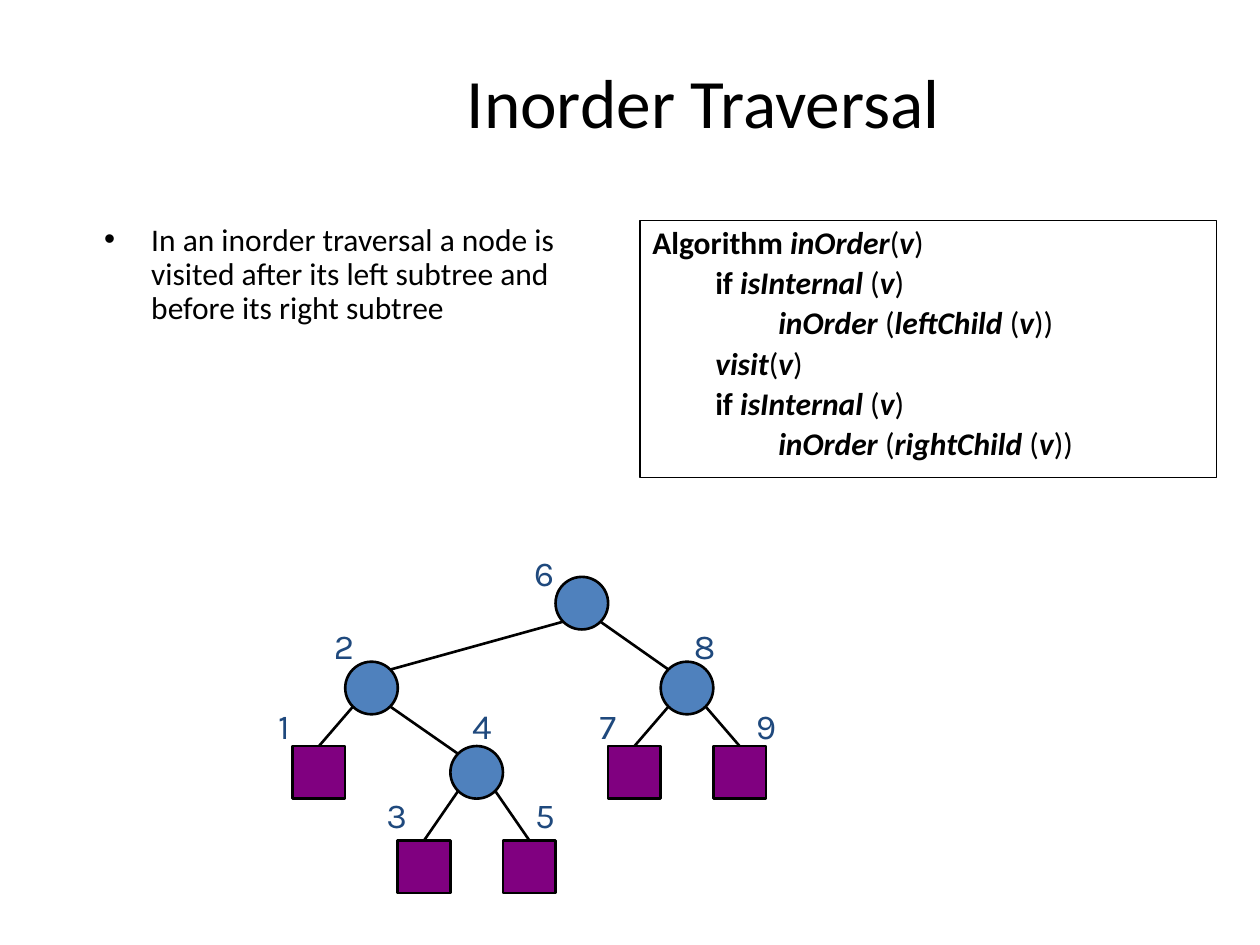
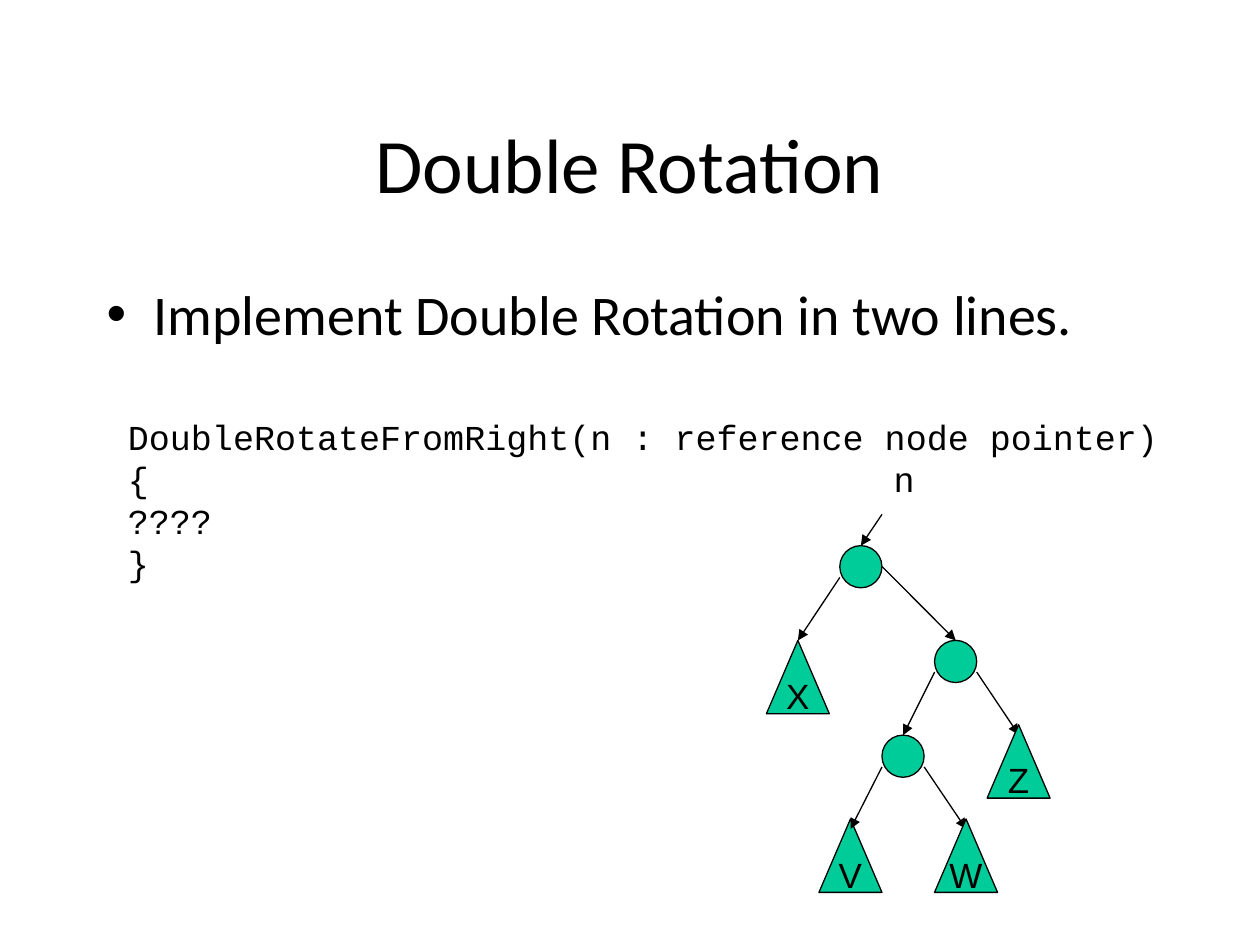
from lxml import etree
from pptx import Presentation
from pptx.dml.color import RGBColor
from pptx.enum.shapes import MSO_CONNECTOR, MSO_SHAPE
from pptx.enum.text import MSO_ANCHOR, PP_ALIGN
from pptx.oxml.ns import qn
from pptx.util import Cm, Pt

STRAIGHT = MSO_CONNECTOR.STRAIGHT
RECT, OVAL, TRIANGLE = MSO_SHAPE.RECTANGLE, MSO_SHAPE.OVAL, MSO_SHAPE.ISOSCELES_TRIANGLE
LEFT, CENTER = PP_ALIGN.LEFT, PP_ALIGN.CENTER
TOP, MIDDLE = MSO_ANCHOR.TOP, MSO_ANCHOR.MIDDLE

COLORS = {"ink": "000000", "inner": "4F81BD", "leaf": "800080",
          "number": "1F497D", "rotation": "00CC99"}
BODY, MONO, SANS, NUMBERS = "Calibri", "Courier New", "Arial", "Karla"

# ---- Content: inorder traversal ----
INORDER_TITLE = "Inorder Traversal"
INORDER_POINT = ("In an inorder traversal a node is visited after its left subtree "
                 "and before its right subtree")
# Runs are (text, style), where b is bold and i is italic
ARG = [("(", ""), ("v", "bi"), (")", "")]
IF_INTERNAL = [("if ", "b"), ("isInternal ", "bi")] + ARG


def recurse(child):
    return [("inOrder", "bi"), (" (", ""), (child + " ", "bi"),
            ("(", ""), ("v", "bi"), ("))", "")]


ALGORITHM = [  # (indent level, runs)
    (0, [("Algorithm ", "b"), ("inOrder", "bi")] + ARG),
    (1, IF_INTERNAL),
    (2, recurse("leftChild")),
    (1, [("visit", "bi")] + ARG),
    (1, IF_INTERNAL),
    (2, recurse("rightChild")),
]
# Visit number: (depth, left of the number in cm, children)
VISITS = {
    6: (0, 10.52, (2, 8)),
    8: (1, 13.74, (7, 9)),
    2: (1, 6.48, (1, 4)),
    4: (2, 9.27, (3, 5)),
    1: (2, 5.28, ()),
    3: (3, 7.54, ()),
    5: (3, 10.54, ()),
    7: (2, 11.81, ()),
    9: (2, 14.99, ()),
}
ROW_TOPS = [11.63, 13.34, 15.04, 16.94]
NUMBER_TOPS = [11.0, 12.47, 14.07, 15.88]
NODE, FIRST_CENTER, DIAGONAL = 1.06, 6.43, 0.37

# ---- Content: double rotation ----
ROTATION_TITLE = "Double Rotation"
ROTATION_POINT = "Implement Double Rotation in two lines."
ROTATION_CODE = ["DoubleRotateFromRight(n : reference node pointer) {", "????", "}"]
ROTATION_NODES = {  # name: (left, top)
    "root": (16.93, 11.0), "right": (18.84, 12.91), "inner": (17.78, 14.82),
    "X": (15.45, 12.91), "V": (16.51, 16.51), "W": (18.84, 16.51), "Z": (19.9, 14.61),
}
CIRCLE, TRIANGLE_W, TRIANGLE_H = 0.85, 1.27, 1.48
ROTATION_EDGES = [  # (parent, child, drop from parent top, dip below child top)
    ("root", "X", 0.64, 0),
    ("root", "right", 0.42, 0),
    ("right", "inner", 0.64, 0),
    ("right", "Z", 0.64, 0.2),
    ("inner", "W", 0.64, 0.2),
    ("inner", "V", 0.64, 0.2),
]


# ---- Helpers ----
def rgb(name):
    return RGBColor.from_string(COLORS[name])


def add_run(p, text, size, font=BODY, color="ink", style=""):
    r = p.add_run()
    r.text = text
    r.font.size, r.font.name, r.font.color.rgb = Pt(size), font, rgb(color)
    r.font.bold, r.font.italic = "b" in style, "i" in style


def add_text(s, box, lines, size, font=BODY, color="ink", align=LEFT, anchor=TOP, wrap=True):
    tf = s.shapes.add_textbox(*map(Cm, box)).text_frame
    tf.word_wrap, tf.vertical_anchor = wrap, anchor
    for i, line in enumerate(lines):
        p = tf.add_paragraph() if i else tf.paragraphs[0]
        p.alignment = align
        add_run(p, line, size, font, color)
    return tf


def add_title(s, box, text, size):
    add_text(s, box, [text], size, align=CENTER, anchor=MIDDLE)


def add_bullet(s, box, text, size, spacing=1.0):
    p = add_text(s, box, [text], size).paragraphs[0]
    p.line_spacing = spacing
    pPr = p._p.get_or_add_pPr()
    pPr.set("marL", str(Cm(0.95)))
    pPr.set("indent", str(-Cm(0.95)))
    etree.SubElement(pPr, qn("a:buFont"), typeface=SANS)
    etree.SubElement(pPr, qn("a:buChar"), char="•")


def add_node(s, kind, box, fill=None, width=0.75):
    sp = s.shapes.add_shape(kind, *map(Cm, box))
    sp.shadow.inherit = False
    if fill:
        sp.fill.solid()
        sp.fill.fore_color.rgb = rgb(fill)
    else:
        sp.fill.background()
    sp.line.color.rgb, sp.line.width = rgb("ink"), Pt(width)
    return sp


def add_line(s, x1, y1, x2, y2, width=0.75, arrow=False):
    c = s.shapes.add_connector(STRAIGHT, Cm(x1), Cm(y1), Cm(x2), Cm(y2))
    c.line.color.rgb, c.line.width = rgb("ink"), Pt(width)
    if arrow:
        etree.SubElement(c.line._get_or_add_ln(), qn("a:tailEnd"), type="triangle")
    etree.SubElement(c._element.spPr, qn("a:effectLst"))
    return c


# ---- Slide 1 ----
def visit_center(number):
    return FIRST_CENTER + (number - 1) * NODE, ROW_TOPS[VISITS[number][0]] + NODE / 2


def build_inorder(s):
    add_title(s, (3.38, 1.07, 21.59, 1.93), INORDER_TITLE, 39.6)
    add_bullet(s, (1.85, 4.39, 10.41, 6.17), INORDER_POINT, 18, 0.9)

    # Algorithm box
    tf = add_node(s, RECT, (12.9, 4.45, 11.63, 5.18)).text_frame
    tf.word_wrap, tf.vertical_anchor = True, TOP
    for i, (level, runs) in enumerate(ALGORITHM):
        p = tf.add_paragraph() if i else tf.paragraphs[0]
        p.alignment, p.line_spacing = LEFT, 0.9
        p.space_before = Pt(3.6 if i else 0)
        p._p.get_or_add_pPr().set("marL", str(Cm(1.27 * level)))
        for text, style in runs:
            add_run(p, text, 18, style=style)

    # Tree nodes, one column per visit number
    nodes = {}
    for number, (depth, _, children) in VISITS.items():
        x, y = visit_center(number)
        kind, fill = (OVAL, "inner") if children else (RECT, "leaf")
        nodes[number] = add_node(s, kind, (x - NODE / 2, y - NODE / 2, NODE, NODE), fill, 1.5)

    # Edges
    for number, (_, _, children) in VISITS.items():
        x, y = visit_center(number)
        for child in children:
            cx, cy = visit_center(child)
            side = DIAGONAL if child > number else -DIAGONAL
            c = add_line(s, x + side, y + DIAGONAL, cx - side, cy - DIAGONAL, 1.5)
            if not VISITS[child][2]:
                c.end_connect(nodes[child], 0)

    # Visit numbers
    for number, (depth, left, _) in VISITS.items():
        add_text(s, (left, NUMBER_TOPS[depth], 0.89, 1.09), [str(number)], 20,
                 NUMBERS, "number", CENTER, wrap=False)


# ---- Slide 2 ----
def node_width(name):
    return TRIANGLE_W if len(name) == 1 else CIRCLE


def add_rotation_edge(s, parent, child, drop, dip):
    (px, py), (cx, cy) = ROTATION_NODES[parent], ROTATION_NODES[child]
    end = cx + node_width(child) / 2
    start = px + CIRCLE if end > px + CIRCLE / 2 else px
    add_line(s, start, py + drop, end, cy + dip, arrow=True)


def build_rotation(s):
    add_title(s, (1.9, 1.7, 21.59, 3.18), ROTATION_TITLE, 44)
    add_bullet(s, (1.9, 5.51, 21.59, 1.9), ROTATION_POINT, 32)
    add_text(s, (2.33, 8.25, 21.9, 3.6), ROTATION_CODE, 20, MONO)

    # Tree: the arrow into V lies above its triangle
    for edge in ROTATION_EDGES[:-1]:
        add_rotation_edge(s, *edge)
    for name, (left, top) in ROTATION_NODES.items():
        if len(name) > 1:
            add_node(s, OVAL, (left, top, CIRCLE, CIRCLE), "rotation")
            continue
        sp = add_node(s, TRIANGLE, (left, top, TRIANGLE_W, TRIANGLE_H), "rotation")
        tf = sp.text_frame
        tf.word_wrap, tf.vertical_anchor = False, MIDDLE
        tf.paragraphs[0].alignment = CENTER
        add_run(tf.paragraphs[0], name, 20, SANS)
    add_rotation_edge(s, *ROTATION_EDGES[-1])

    # Reference to the root
    root_x, root_y = ROTATION_NODES["root"]
    add_line(s, 17.78, 10.37, root_x + CIRCLE / 2, root_y, arrow=True)
    add_text(s, (17.78, 9.1, 0.89, 1.12), ["n"], 20, SANS, wrap=False)


def main():
    prs = Presentation()
    prs.slide_width, prs.slide_height = Cm(25.4), Cm(19.05)
    for build in (build_inorder, build_rotation):
        build(prs.slides.add_slide(prs.slide_layouts[6]))
    prs.save("out.pptx")


if __name__ == "__main__":
    main()
